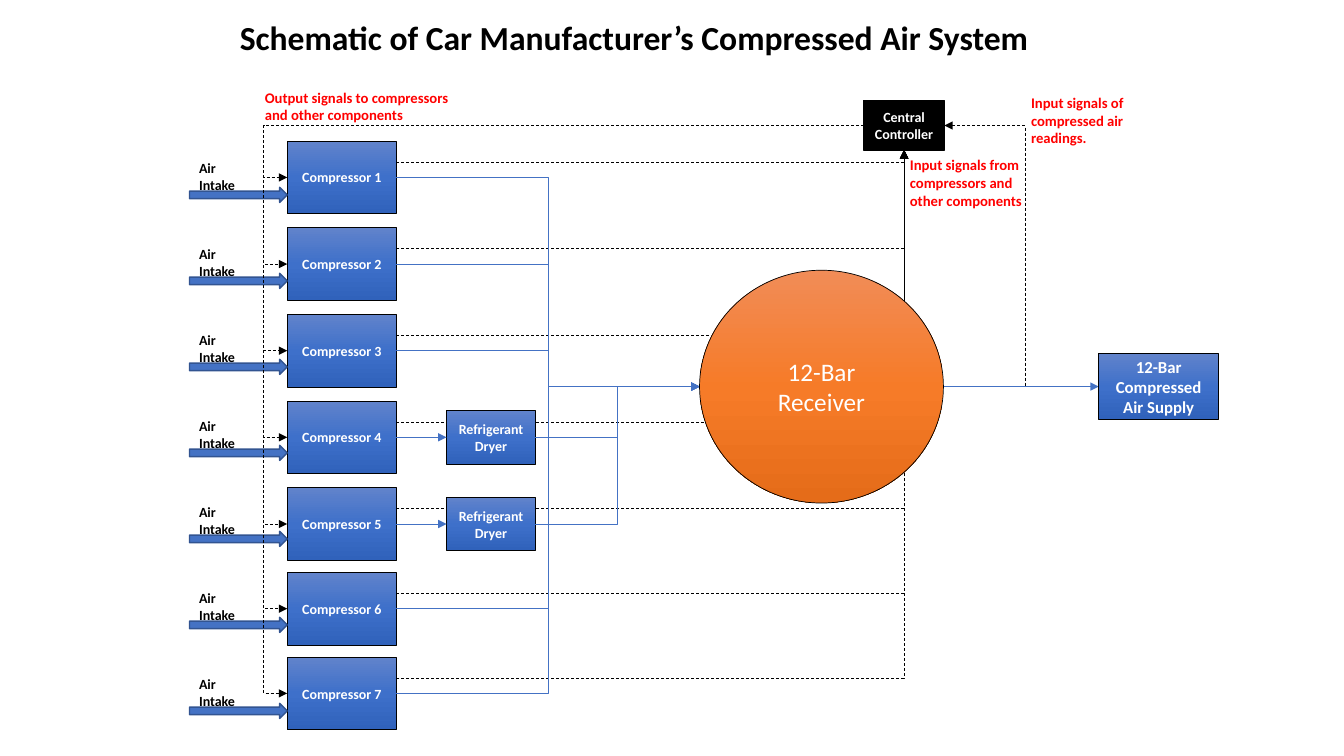
"""Build the schematic slide of a compressed air system."""
from copy import deepcopy
from dataclasses import dataclass

from pptx import Presentation
from pptx.dml.color import RGBColor
from pptx.enum import dml, shapes, text
from pptx.oxml import ns, xmlchemy
from pptx.util import Pt

FONT = "Calibri"
BLACK, WHITE, RED = "000000", "FFFFFF", "FF0000"
PIPE, INTAKE_EDGE = "4472C4", "325491"
BLUE_BLEND = ("6183CB", "3E70CA", "3062BB")
ORANGE_BLEND = ("F18C57", "F67B28", "E56C19")
COMPRESSOR_TOPS = [100.8 + 61.9 * row - 1.4 * max(0, row - 4) for row in range(7)]
DRIED_ROWS = (3, 4)
RECTANGLE = shapes.MSO_SHAPE.RECTANGLE


@dataclass
class Box:
    left: float
    top: float
    width: float
    height: float

    @property
    def right(self):
        return self.left + self.width

    @property
    def bottom(self):
        return self.top + self.height

    @property
    def center(self):
        return self.left + self.width / 2

    @property
    def middle(self):
        return self.top + self.height / 2

    def lengths(self):
        return [Pt(value) for value in (self.left, self.top, self.width, self.height)]


def color(hex_value):
    return RGBColor.from_string(hex_value)


def write(shape, wording, size, hex_value, bold=True, align=text.PP_ALIGN.LEFT):
    frame = shape.text_frame
    frame.text = wording
    frame.word_wrap = True
    paragraph = frame.paragraphs[0]
    paragraph.alignment = align
    font = paragraph.runs[0].font
    font.name, font.size, font.bold = FONT, Pt(size), bold
    font.color.rgb = color(hex_value)


def add_label(slide, box, wording, size, hex_value):
    write(slide.shapes.add_textbox(*box.lengths()), wording, size, hex_value)


def fill_blend(shape, blend):
    shape.fill.gradient()
    shape.fill.gradient_angle = 270
    stops = shape._element.spPr.find(".//" + ns.qn("a:gsLst"))
    stops.insert(1, deepcopy(stops[0]))
    for stop, position, hex_value in zip(shape.fill.gradient_stops, (0, 0.5, 1), blend):
        stop.position = position
        stop.color.rgb = color(hex_value)


def add_block(slide, box, fills, edge=BLACK, edge_width=0.5, kind=RECTANGLE):
    shape = slide.shapes.add_shape(kind, *box.lengths())
    shape.shadow.inherit = False
    if len(fills) == 1:
        shape.fill.solid()
        shape.fill.fore_color.rgb = color(fills[0])
    else:
        fill_blend(shape, fills)
    shape.line.color.rgb = color(edge)
    shape.line.width = Pt(edge_width)
    return shape


def add_unit(slide, box, wording, fills=BLUE_BLEND, size=10, bold=True, **style):
    shape = add_block(slide, box, fills, **style)
    write(shape, wording, size, WHITE, bold, text.PP_ALIGN.CENTER)
    shape.text_frame.vertical_anchor = text.MSO_ANCHOR.MIDDLE


def add_link(slide, start, end, hex_value=PIPE, dashed=False, preset="bentConnector3",
             bend=None, arrow="tailEnd"):
    points = [Pt(value) for value in (*start, *end)]
    connector = slide.shapes.add_connector(shapes.MSO_CONNECTOR.ELBOW, *points)
    connector.line.color.rgb = color(hex_value)
    connector.line.width = Pt(0.5)
    if dashed:
        connector.line.dash_style = dml.MSO_LINE.DASH
    properties = connector._element.spPr
    geometry = properties.find(ns.qn("a:prstGeom"))
    geometry.set("prst", preset)
    if bend is not None:
        guide = xmlchemy.OxmlElement("a:gd")
        guide.set("name", "adj1")
        guide.set("fmla", f"val {round(bend * 100000)}")
        geometry.find(ns.qn("a:avLst")).append(guide)
    head = xmlchemy.OxmlElement("a:" + arrow)
    head.set("type", "triangle")
    properties.find(ns.qn("a:ln")).append(head)
    properties.append(xmlchemy.OxmlElement("a:effectLst"))


def add_status_signals(slide, compressors, controller):
    for box in compressors:
        add_link(slide, (box.right, box.top + 15), (controller.center, controller.bottom),
                 BLACK, dashed=True, preset="bentConnector2")


def add_compressors(slide, compressors):
    for number, box in enumerate(compressors, 1):
        add_unit(slide, box, f"Compressor {number}")


def add_intakes(slide, box, count):
    pitch = box.height / count
    for row in range(count):
        top = box.top + pitch * row
        arrow = Box(box.left, top + 23.6, box.width, 10.8)
        add_block(slide, arrow, [PIPE], INTAKE_EDGE, 1, shapes.MSO_SHAPE.RIGHT_ARROW)
        add_label(slide, Box(box.left - 0.3, top, 54, 18), "Air Intake", 10, BLACK)


def add_air_lines(slide, compressors, dryers, receiver):
    inlet = (receiver.left, receiver.middle)
    for row, box in enumerate(compressors):
        outlet = (box.right, box.middle)
        if row in dryers:
            dryer = dryers[row]
            add_unit(slide, dryer, "Refrigerant Dryer")
            add_link(slide, outlet, (dryer.left, box.middle), preset="line")
            outlet = (dryer.right, box.middle)
        add_link(slide, outlet, inlet)


def add_receiver_and_supply(slide, receiver, supply):
    add_link(slide, (receiver.right, receiver.middle), (supply.left, receiver.middle),
             preset="line")
    add_unit(slide, receiver, "12-Bar Receiver", ORANGE_BLEND, 18, False,
             kind=shapes.MSO_SHAPE.OVAL)
    add_unit(slide, supply, "12-Bar Compressed Air Supply", size=12)


def add_control(slide, controller, compressors, receiver):
    add_unit(slide, controller, "Central Controller", [BLACK], edge_width=1)
    add_link(slide, (controller.right, controller.middle),
             (controller.right + 57.6, receiver.middle),
             BLACK, dashed=True, preset="bentConnector2", arrow="headEnd")
    for box in compressors:
        add_link(slide, (controller.left, controller.middle), (box.left, box.middle),
                 BLACK, dashed=True, bend=1.041)
    left, top = controller.left, controller.top
    notes = (
        (Box(left + 112.4, top - 8.6, 82.8, 42.5), "Input signals of compressed air readings."),
        (Box(left - 434.9, top - 12.2, 147.6, 31),
         "Output signals to compressors and other components"),
        (Box(left + 25.9, top + 36, 98.6, 42.5),
         "Input signals from compressors and other components"),
    )
    for box, wording in notes:
        add_label(slide, box, wording, 10.5, RED)


def add_schematic(slide, area):
    def place(left, top, width, height):
        return Box(area.left + left, area.top + top, width, height)

    compressors = [place(205.2, top, 78, 51.8) for top in COMPRESSOR_TOPS]
    dryers = {row: Box(area.left + 319, compressors[row].middle - 19, 63.4, 38.2)
              for row in DRIED_ROWS}
    controller = place(617, 72, 57.6, 35.3)
    receiver = place(499.7, 193, 174.2, 166.3)
    add_status_signals(slide, compressors, controller)
    add_compressors(slide, compressors)
    add_intakes(slide, place(135.4, 110.2, 69.8, 430), len(compressors))
    add_air_lines(slide, compressors, dryers, receiver)
    add_receiver_and_supply(slide, receiver, place(784.8, 252.7, 85.7, 46.8))
    add_control(slide, controller, compressors, receiver)
    add_label(slide, place(164.2, 8.6, 590.4, 36),
              "Schematic of Car Manufacturer’s Compressed Air System", 24, BLACK)


presentation = Presentation()
presentation.slide_width, presentation.slide_height = Pt(960), Pt(540)
schematic_slide = presentation.slides.add_slide(presentation.slide_layouts[6])
add_schematic(schematic_slide, Box(0, 0, 960, 540))
presentation.save("out.pptx")
